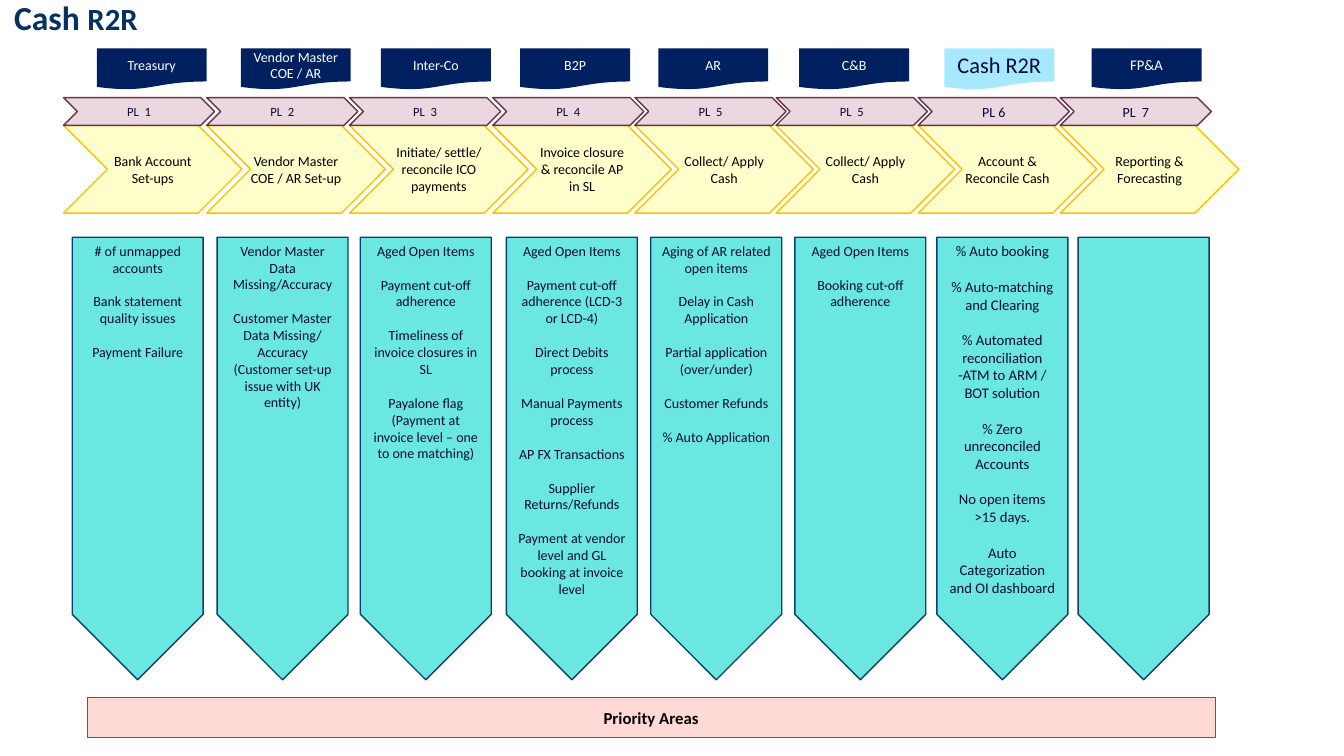
from dataclasses import dataclass

from pptx import Presentation
from pptx import util as u
from pptx.dml.color import RGBColor
from pptx.enum import shapes, text


@dataclass(frozen=True)
class Theme:
    font: str = "Calibri"
    title: str = "063161"
    ink: str = "0A0A37"
    black: str = "000000"
    white: str = "FFFFFF"
    flag: str = "002060"
    active_flag: str = "A6E8FF"
    code_fill: str = "EBD7DF"
    code_line: str = "673448"
    step_fill: str = "FFFFCC"
    step_line: str = "FFC000"
    metric_fill: str = "6BE7E1"
    metric_line: str = "0C3F69"
    priority_fill: str = "FFD9D5"
    priority_line: str = "894560"
    title_size: float = 24
    title_tail_size: float = 22
    active_size: float = 16
    priority_size: float = 12
    large: float = 10.5
    body: float = 10
    small: float = 9


T = Theme()


@dataclass(frozen=True)
class Stage:
    flag_x: float
    phase_x: float
    metrics_x: float
    owner: str
    code: str
    step: str
    metrics: tuple = ()
    owner_size: float = T.body
    code_size: float = T.small
    metric_size: float = T.body
    active: bool = False


STAGES = [
    Stage(2.44, 1.6, 1.82, "Treasury", "PL  1", "Bank Account Set-ups",
          ("# of unmapped accounts", "Bank statement quality issues", "Payment Failure")),
    Stage(6.07, 5.21, 5.47, "Vendor Master COE / AR", "PL  2", "Vendor Master COE / AR Set-up",
          ("Vendor Master Data Missing/Accuracy",
           "Customer Master Data Missing/ Accuracy (Customer set-up issue with UK entity)")),
    Stage(9.6, 8.81, 9.08, "Inter-Co", "PL  3", "Initiate/ settle/ reconcile ICO payments",
          ("Aged Open Items", "Payment cut-off adherence",
           "Timeliness of invoice closures in SL",
           "Payalone flag (Payment at invoice level – one to one matching)")),
    Stage(13.11, 12.42, 12.76, "B2P", "PL  4", "Invoice closure & reconcile AP in SL",
          ("Aged Open Items", "Payment cut-off adherence (LCD-3 or LCD-4)",
           "Direct Debits process", "Manual Payments process", "AP FX Transactions",
           "Supplier Returns/Refunds",
           "Payment at vendor level and GL booking at invoice level")),
    Stage(16.59, 16, 16.4, "AR", "PL  5", "Collect/ Apply Cash",
          ("Aging of AR related open items", "Delay in Cash Application",
           "Partial application (over/under)", "Customer Refunds", "% Auto Application")),
    Stage(20.14, 19.56, 20.03, "C&B", "PL  5", "Collect/ Apply Cash",
          ("Aged Open Items", "Booking cut-off adherence")),
    Stage(23.8, 23.14, 23.61, "Cash R2R", "PL 6", "Account & Reconcile Cash",
          ("% Auto booking", "% Auto-matching and Clearing",
           "% Automated reconciliation -ATM to ARM / BOT solution",
           "% Zero unreconciled Accounts", "No open items >15 days.",
           "Auto Categorization and OI dashboard"),
          owner_size=T.active_size, code_size=T.body, metric_size=T.large, active=True),
    Stage(27.51, 26.72, 27.17, "FP&A", "PL  7", "Reporting & Forecasting",
          owner_size=T.large, code_size=T.body),
]


def add_run(p, words, size, color, bold=False):
    r = p.add_run()
    r.text = words
    r.font.name = T.font
    r.font.size = u.Pt(size)
    r.font.bold = bold
    r.font.color.rgb = RGBColor.from_string(color)


def add_block(s, kind, box, fill, line=None, line_width=1.0):
    sp = s.shapes.add_shape(kind, *map(u.Cm, box))
    sp.shadow.inherit = False
    sp.fill.solid()
    sp.fill.fore_color.rgb = RGBColor.from_string(fill)
    if line:
        sp.line.color.rgb = RGBColor.from_string(line)
        sp.line.width = u.Pt(line_width)
    else:
        sp.line.fill.background()
    return sp


def write(sp, paragraphs, size, color, bold=False, anchor=text.MSO_ANCHOR.MIDDLE):
    tf = sp.text_frame
    tf.word_wrap = True
    tf.vertical_anchor = anchor
    for i, words in enumerate(paragraphs):
        p = tf.add_paragraph() if i else tf.paragraphs[0]
        p.alignment = text.PP_ALIGN.CENTER
        if i:
            p.space_before = u.Pt(round(size * 1.22, 1))
        add_run(p, words, size, color, bold)


def draw_title(s, box):
    sp = s.shapes.title
    sp.left, sp.top, sp.width, sp.height = map(u.Cm, box)
    tf = sp.text_frame
    tf.auto_size = text.MSO_AUTO_SIZE.NONE
    tf.vertical_anchor = text.MSO_ANCHOR.MIDDLE
    p = tf.paragraphs[0]
    p.alignment = text.PP_ALIGN.LEFT
    p.line_spacing = 0.9
    p.space_before = u.Pt(0)
    add_run(p, "Cash ", T.title_size, T.title, True)
    add_run(p, "R2R", T.title_tail_size, T.title, True)


def draw_flag(s, box, stage):
    fill, color = (T.active_flag, T.ink) if stage.active else (T.flag, T.white)
    sp = add_block(s, shapes.MSO_SHAPE.FLOWCHART_DOCUMENT, box, fill)
    write(sp, [stage.owner], stage.owner_size, color)


def draw_phase(s, box, stage):
    x, y, w, h = box
    code_h = 0.7
    step = add_block(s, shapes.MSO_SHAPE.CHEVRON, (x, y + code_h, w, h - code_h),
                     T.step_fill, T.step_line)
    tf = step.text_frame
    tf.margin_left = tf.margin_right = tf.margin_top = tf.margin_bottom = 0
    write(step, [stage.step], T.body, T.black)
    code = add_block(s, shapes.MSO_SHAPE.CHEVRON, (x, y, w - 0.69, code_h),
                     T.code_fill, T.code_line)
    write(code, [stage.code], stage.code_size, T.ink)


def draw_metrics(s, box, stage):
    x, y, w, h = box
    turned = (x + (w - h) / 2, y + (h - w) / 2, h, w)
    sp = add_block(s, shapes.MSO_SHAPE.PENTAGON, turned, T.metric_fill, T.metric_line)
    sp.rotation = 90
    sp.text_frame._txBody.bodyPr.set("vert", "vert270")
    write(sp, stage.metrics, stage.metric_size, T.ink, anchor=text.MSO_ANCHOR.TOP)


def draw_priority(s, box):
    sp = add_block(s, shapes.MSO_SHAPE.RECTANGLE, box, T.priority_fill, T.priority_line, 0.5)
    write(sp, ["Priority Areas"], T.priority_size, T.black, True)


def main():
    prs = Presentation()
    prs.slide_width, prs.slide_height = u.Cm(33.87), u.Cm(19.05)
    s = prs.slides.add_slide(prs.slide_layouts[5])
    draw_title(s, (0.1, -0.15, 25.6, 1.27))
    for stage in STAGES:
        draw_metrics(s, (stage.metrics_x, 5.98, 3.3, 11.15), stage)
        draw_phase(s, (stage.phase_x, 2.46, 4.5, 2.91), stage)
        draw_flag(s, (stage.flag_x, 1.22, 2.77, 1.04), stage)
    draw_priority(s, (2.2, 17.58, 28.42, 1))
    prs.save("out.pptx")


if __name__ == "__main__":
    main()
